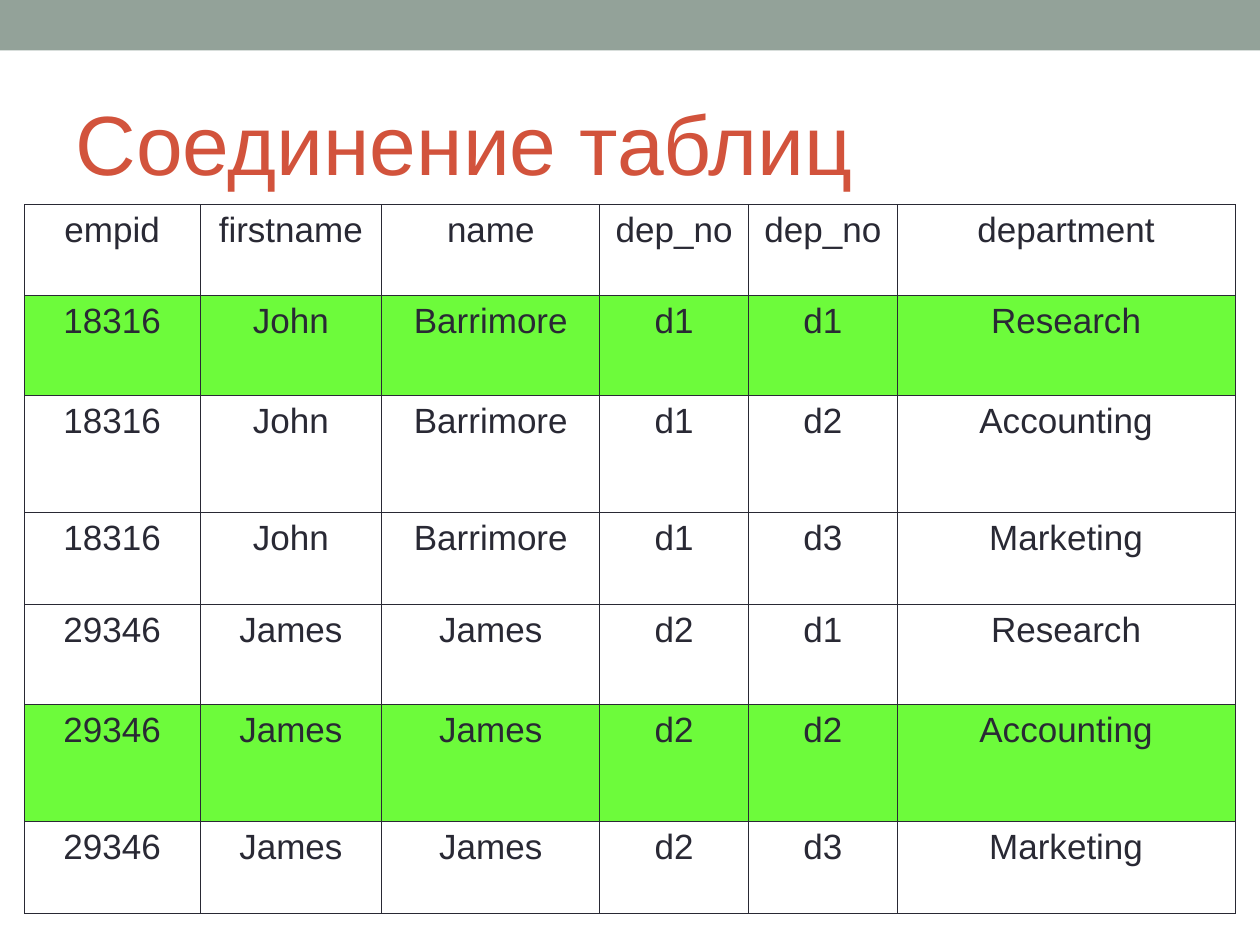
from itertools import product

from lxml import etree
from pptx import Presentation
from pptx.dml.color import RGBColor
from pptx.enum.shapes import MSO_SHAPE
from pptx.enum.text import MSO_ANCHOR, PP_ALIGN
from pptx.oxml.ns import qn
from pptx.util import Pt

RECT = MSO_SHAPE.RECTANGLE
MIDDLE, TOP = MSO_ANCHOR.MIDDLE, MSO_ANCHOR.TOP
LEFT, CENTER = PP_ALIGN.LEFT, PP_ALIGN.CENTER

FONT = "Arial"
BAR = RGBColor(0x93, 0xA2, 0x99)
TITLE = RGBColor(0xD2, 0x53, 0x3C)
INK = RGBColor(0x29, 0x29, 0x34)
WHITE = RGBColor(0xFF, 0xFF, 0xFF)
MATCH = RGBColor(0x6D, 0xFB, 0x3B)

HEADER = ("empid", "firstname", "name", "dep_no", "dep_no", "department")
EMPLOYEES = [("18316", "John", "Barrimore", "d1"),
             ("29346", "James", "James", "d2")]
DEPARTMENTS = [("d1", "Research"), ("d2", "Accounting"), ("d3", "Marketing")]
COL_WIDTHS = (100.3, 103.9, 124.6, 85, 85, 193)
HEADER_HEIGHT = 52
DEPARTMENT_HEIGHTS = (57, 67, 52.6)


def write(tf, text, *, size, color, align=LEFT, before=0):
    p = tf.paragraphs[0]
    p.alignment = align
    p.space_before = Pt(before)
    r = p.add_run()
    r.text = text
    r.font.name = FONT
    r.font.size = Pt(size)
    r.font.color.rgb = color


def add_bar(s, width, height):
    sp = s.shapes.add_shape(RECT, 0, 0, width, height)
    sp.shadow.inherit = False
    sp.fill.solid()
    sp.fill.fore_color.rgb = BAR
    sp.line.fill.background()


def set_title(s, text):
    sp = s.shapes.title
    sp.left, sp.top, sp.width, sp.height = Pt(36), Pt(42), Pt(648), Pt(78)
    sp.text_frame.word_wrap = True
    sp.text_frame.vertical_anchor = MIDDLE
    write(sp.text_frame, text, size=48, color=TITLE)


def set_borders(cell, color, width):
    """Put the four border lines ahead of the fill, as the schema requires."""
    tc_pr = cell._tc.get_or_add_tcPr()
    for i, side in enumerate(("lnL", "lnR", "lnT", "lnB")):
        ln = etree.Element(qn(f"a:{side}"), w=str(Pt(width)))
        fill = etree.SubElement(ln, qn("a:solidFill"))
        etree.SubElement(fill, qn("a:srgbClr"), val=str(color))
        tc_pr.insert(i, ln)


def fill_cell(cell, text, fill):
    cell.fill.solid()
    cell.fill.fore_color.rgb = fill
    cell.vertical_anchor = TOP
    write(cell.text_frame, text, size=20, color=INK, align=CENTER, before=5)
    set_borders(cell, INK, 0.45)


def add_join_table(s, left, top):
    """Pair every employee with every department and mark equal dep_no."""
    pairs = list(product(EMPLOYEES, DEPARTMENTS))
    rows = [(HEADER, WHITE)]
    rows += [(emp + dep, MATCH if emp[-1] == dep[0] else WHITE)
             for emp, dep in pairs]
    heights = (HEADER_HEIGHT,) + DEPARTMENT_HEIGHTS * len(EMPLOYEES)
    table = s.shapes.add_table(len(rows), len(HEADER), left, top,
                               Pt(sum(COL_WIDTHS)), Pt(sum(heights))).table
    for col, width in zip(table.columns, COL_WIDTHS):
        col.width = Pt(width)
    for row, height, (values, fill) in zip(table.rows, heights, rows):
        row.height = Pt(height)
        for cell, value in zip(row.cells, values):
            fill_cell(cell, value, fill)


def main():
    prs = Presentation()
    prs.slide_width, prs.slide_height = Pt(720), Pt(540)
    s = prs.slides.add_slide(prs.slide_layouts[5])
    add_bar(s, prs.slide_width, Pt(28.8))
    set_title(s, "Соединение таблиц")
    add_join_table(s, Pt(14), Pt(116.8))
    prs.save("out.pptx")


if __name__ == "__main__":
    main()
